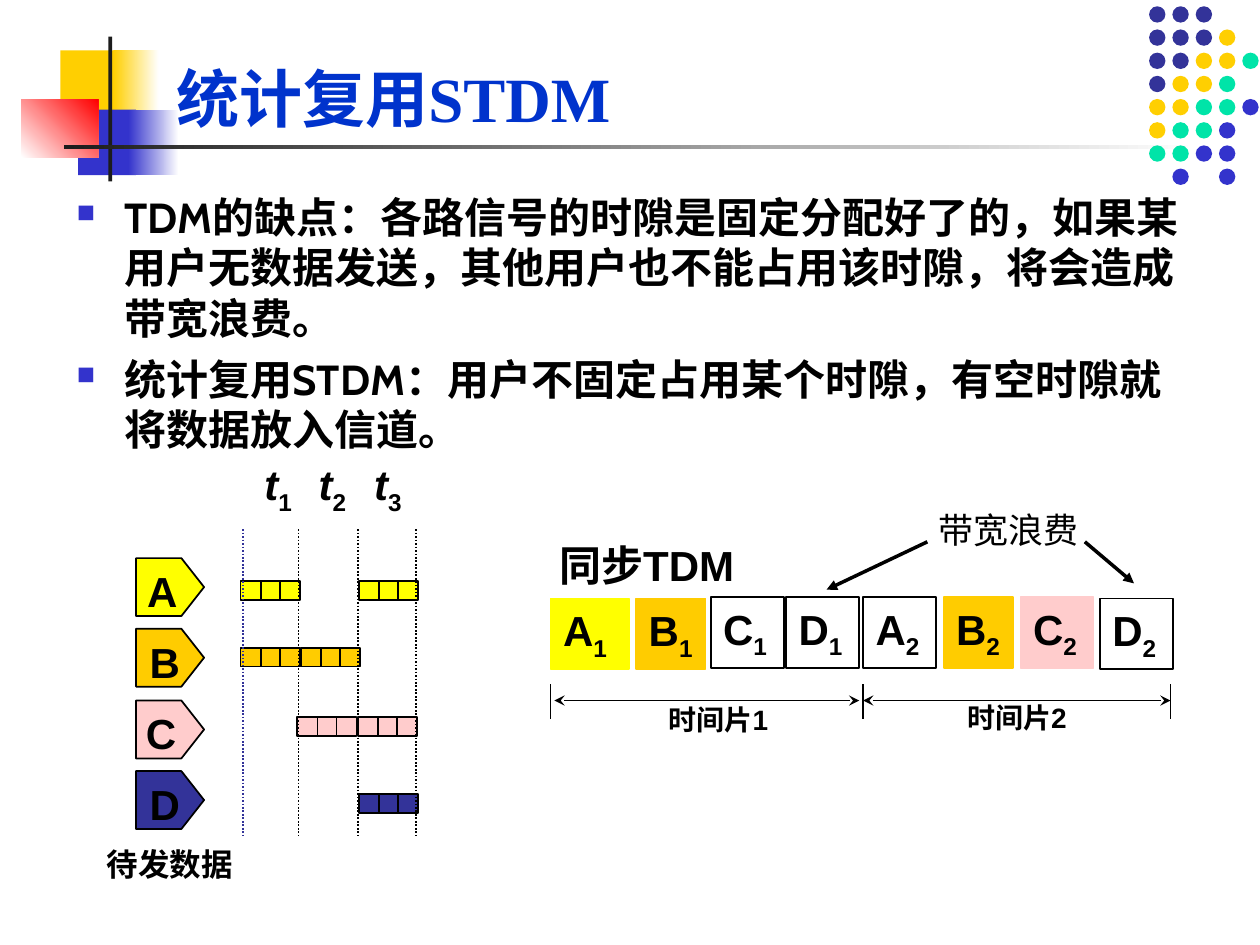
"""Build the slide on statistical time-division multiplexing."""
from typing import NamedTuple, Optional

from lxml.etree import SubElement
from pptx import Presentation
from pptx.dml.color import RGBColor
from pptx.enum.dml import MSO_LINE
from pptx.enum.shapes import MSO_CONNECTOR, MSO_SHAPE
from pptx.enum.text import MSO_ANCHOR, MSO_AUTO_SIZE, PP_ALIGN
from pptx.oxml.ns import qn
from pptx.util import Inches, Pt

BLACK = RGBColor(0, 0, 0)
WHITE = RGBColor(255, 255, 255)
CHARCOAL = RGBColor(0x1C, 0x1C, 0x1C)
RED = RGBColor(255, 0, 0)
GOLD = RGBColor(0xFF, 0xCF, 0x01)
BLUE = RGBColor(0x33, 0x33, 0xCC)
NAVY = RGBColor(0x33, 0x33, 0x99)
MINT = RGBColor(0x00, 0xE4, 0xA8)
TITLE_BLUE = RGBColor(0x00, 0x33, 0xCC)
YELLOW = RGBColor(255, 255, 0)
ORANGE = RGBColor(0xFF, 0xCC, 0)
PINK = RGBColor(0xFF, 0xCC, 0xCC)


class Band(NamedTuple):
    x: float
    y: float
    w: float
    h: float
    start: RGBColor
    end: Optional[RGBColor] = None
    angle: int = 0


class User(NamedTuple):
    name: str
    color: RGBColor
    y: float
    text_x: float
    bursts: tuple
    burst_y: float


class Slot(NamedTuple):
    name: str
    index: str
    x: float
    y: float
    w: float
    color: Optional[RGBColor] = None


class Label(NamedTuple):
    text: str
    x: float
    y: float
    w: float
    h: float
    size: int
    font: str = "Arial"
    bold: bool = True


BANDS = [
    Band(0.48, 0.4, 0.48, 0.52, GOLD),
    Band(0.9, 0.4, 0.36, 0.52, GOLD, WHITE),
    Band(0.62, 0.87, 0.46, 0.52, BLUE),
    Band(1.02, 0.87, 0.4, 0.52, BLUE, WHITE),
    Band(0.17, 0.79, 0.61, 0.46, WHITE, RED, 45),
    Band(0.86, 0.29, 0.03, 1.15, CHARCOAL),
    Band(0.51, 1.15, 9, 0.03, CHARCOAL, WHITE),
]
DOT_COLORS = {"N": NAVY, "G": GOLD, "M": MINT, "B": BLUE}
DOT_ROWS = ["NNN", "NNNG", "NNGGM", "NGGM", "GGMMB", "GMMB", "MMBB", "-B-B"]
POINTS = [
    "TDM的缺点：各路信号的时隙是固定分配好了的，如果某用户无数据发送，其他用户也不能占用该时隙，将会造成带宽浪费。",
    "统计复用STDM：用户不固定占用某个时隙，有空时隙就将数据放入信道。",
]
USERS = [
    User("A", YELLOW, 4.43, 1.07, (1.91, 2.85), 4.61),
    User("B", ORANGE, 4.99, 1.09, (1.91, 2.39), 5.14),
    User("C", PINK, 5.56, 1.06, (2.36, 2.84), 5.69),
    User("D", NAVY, 6.12, 1.09, (2.85,), 6.3),
]
SLOTS = [
    Slot("A", "1", 4.37, 4.75, 0.62, YELLOW),
    Slot("B", "1", 5.05, 4.75, 0.55, ORANGE),
    Slot("C", "1", 5.64, 4.74, 0.58),
    Slot("D", "1", 6.24, 4.74, 0.58),
    Slot("A", "2", 6.85, 4.74, 0.58),
    Slot("B", "2", 7.49, 4.74, 0.55, ORANGE),
    Slot("C", "2", 8.1, 4.74, 0.58, PINK),
    Slot("D", "2", 8.73, 4.75, 0.58),
]
LABELS = [Label(u.name, u.text_x, u.y + 0.01, 0.44, 0.5, 24) for u in USERS] + [
    Label("待发数据", 0.75, 6.66, 1.2, 0.4, 18),
    Label("时间片1", 5.21, 5.53, 1.04, 0.37, 16),
    Label("时间片2", 7.58, 5.51, 1.04, 0.37, 16),
    Label("同步TDM", 4.34, 4.23, 1.67, 0.5, 24),
    Label("带宽浪费", 7.35, 3.99, 1.32, 0.43, 20, "Arial Narrow", False),
]


def add_run(p, text: str, *, size=24, font="Arial", color=BLACK, bold=True, italic=False, sub=False):
    r = p.add_run()
    r.text = text
    f = r.font
    f.size, f.name, f.bold, f.italic = Pt(size), font, bold, italic
    f.color.rgb = color
    if sub:
        r._r.get_or_add_rPr().set("baseline", "-25000")


def add_tabs(p, stops: list[float]):
    tabs = SubElement(p._p.get_or_add_pPr(), qn("a:tabLst"))
    for stop in stops:
        SubElement(tabs, qn("a:tab"), pos=str(Inches(stop)), algn="l")


def add_bullet(p):
    pPr = p._p.get_or_add_pPr()
    pPr.set("marL", str(Inches(0.38)))
    pPr.set("indent", str(-Inches(0.38)))
    SubElement(SubElement(pPr, qn("a:buClr")), qn("a:srgbClr"), val=str(BLUE))
    SubElement(pPr, qn("a:buSzPct"), val="60000")
    SubElement(pPr, qn("a:buChar"), char="■")


def add_box(s, x: float, y: float, w: float, h: float, text_wrap: bool):
    tf = s.shapes.add_textbox(Inches(x), Inches(y), Inches(w), Inches(h)).text_frame
    tf.word_wrap = text_wrap
    return tf


def paint(sp, fill: Optional[RGBColor], line: Optional[RGBColor] = None):
    sp.shadow.inherit = False
    if fill is None:
        sp.fill.background()
    else:
        sp.fill.solid()
        sp.fill.fore_color.rgb = fill
    if line is None:
        sp.line.fill.background()
    else:
        sp.line.color.rgb = line
        sp.line.width = Pt(1)


def add_preset(s, kind, x: float, y: float, w: float, h: float, fill=None, line=None):
    sp = s.shapes.add_shape(kind, Inches(x), Inches(y), Inches(w), Inches(h))
    paint(sp, fill, line)
    return sp


def add_line(s, x1: float, y1: float, x2: float, y2: float, color=BLACK, width=1, dash=None, head=None, tail=None):
    ln = s.shapes.add_connector(MSO_CONNECTOR.STRAIGHT, Inches(x1), Inches(y1), Inches(x2), Inches(y2))
    ln.line.color.rgb = color
    ln.line.width = Pt(width)
    if dash:
        ln.line.dash_style = dash
    for tag, kind in (("a:headEnd", head), ("a:tailEnd", tail)):
        if kind:
            SubElement(ln.line._get_or_add_ln(), qn(tag), type=kind)
    SubElement(ln._element.spPr, qn("a:effectLst"))


def add_band(s, band: Band):
    sp = add_preset(s, MSO_SHAPE.RECTANGLE, *band[:4], band.start)
    if band.end is not None:
        sp.fill.gradient()
        sp.fill.gradient_angle = band.angle
        for stop, color in zip(sp.fill.gradient_stops, (band.start, band.end)):
            stop.color.rgb = color


def add_user(s, user: User):
    x, y = 1.08, user.y
    fb = s.shapes.build_freeform(Inches(x), Inches(y), scale=1.0)
    outline = [(0.36, 0), (0.54, 0.23), (0.36, 0.46), (0, 0.46)]
    fb.add_line_segments([(Inches(x + dx), Inches(y + dy)) for dx, dy in outline])
    paint(fb.convert_to_shape(), user.color, BLACK)
    for left in user.bursts:
        top = user.burst_y
        add_preset(s, MSO_SHAPE.RECTANGLE, left, top, 0.47, 0.15, user.color, BLACK)
        for dx in (0.16, 0.31):
            add_line(s, left + dx, top, left + dx, top + 0.15)


def add_slot(s, slot: Slot):
    sp = add_preset(s, MSO_SHAPE.RECTANGLE, slot.x, slot.y, slot.w, 0.56, slot.color, slot.color or BLACK)
    tf = sp.text_frame
    tf.vertical_anchor = MSO_ANCHOR.TOP
    tf.margin_right = 0
    p = tf.paragraphs[0]
    p.alignment = PP_ALIGN.LEFT
    add_run(p, slot.name)
    add_run(p, slot.index, sub=True)


def main():
    prs = Presentation()
    prs.slide_width, prs.slide_height = Inches(10), Inches(7.5)
    s = prs.slides.add_slide(prs.slide_layouts[5])

    for band in BANDS:
        add_band(s, band)
    for row, codes in enumerate(DOT_ROWS):
        for col, code in enumerate(codes):
            if code in DOT_COLORS:
                add_preset(s, MSO_SHAPE.OVAL, 9.12 + 0.185 * col, 0.05 + 0.184 * row, 0.13, 0.13, DOT_COLORS[code])

    title = s.shapes.title
    title.left, title.top, title.width, title.height = map(Inches, (1.3, 0.36, 5.7, 0.76))
    tf = title.text_frame
    tf.vertical_anchor, tf.auto_size = MSO_ANCHOR.BOTTOM, MSO_AUTO_SIZE.NONE
    tf.paragraphs[0].alignment = PP_ALIGN.LEFT
    add_run(tf.paragraphs[0], "统计复用STDM", size=36, font="Times New Roman", color=TITLE_BLUE)
    s.shapes._spTree.append(title._element)

    tf = add_box(s, 0.51, 1.47, 8.98, 2.36, True)
    for i, point in enumerate(POINTS):
        p = tf.add_paragraph() if i else tf.paragraphs[0]
        add_bullet(p)
        if i:
            p.space_before = Pt(6)
        add_run(p, point, font="Cabin")

    for user in USERS:
        add_user(s, user)
    for x, color in ((1.93, NAVY), (2.37, BLACK), (2.84, BLACK), (3.3, BLACK)):
        add_line(s, x, 4.2, x, 6.63, color, dash=MSO_LINE.ROUND_DOT)
    p = add_box(s, 2, 3.59, 1.29, 0.56, False).paragraphs[0]
    add_tabs(p, [0.43, 0.87])
    for index in ("1\t", "2\t", "3"):
        add_run(p, "t", italic=True)
        add_run(p, index, sub=True)

    for slot in SLOTS:
        add_slot(s, slot)
    for x in (4.37, 6.85, 9.29):
        add_line(s, x, 5.43, x, 5.71)
    for x1, x2 in ((4.4, 6.82), (6.85, 9.29)):
        add_line(s, x1, 5.56, x2, 5.56, head="stealth", tail="stealth")
    for text, x, y, w, h, size, font, bold in LABELS:
        add_run(add_box(s, x, y, w, h, False).paragraphs[0], text, size=size, font=font, bold=bold)
    add_line(s, 8.61, 4.3, 9, 4.63, width=2, tail="triangle")
    add_line(s, 7.36, 4.3, 6.56, 4.68, width=2, tail="triangle")
    prs.save("out.pptx")


if __name__ == "__main__":
    main()
